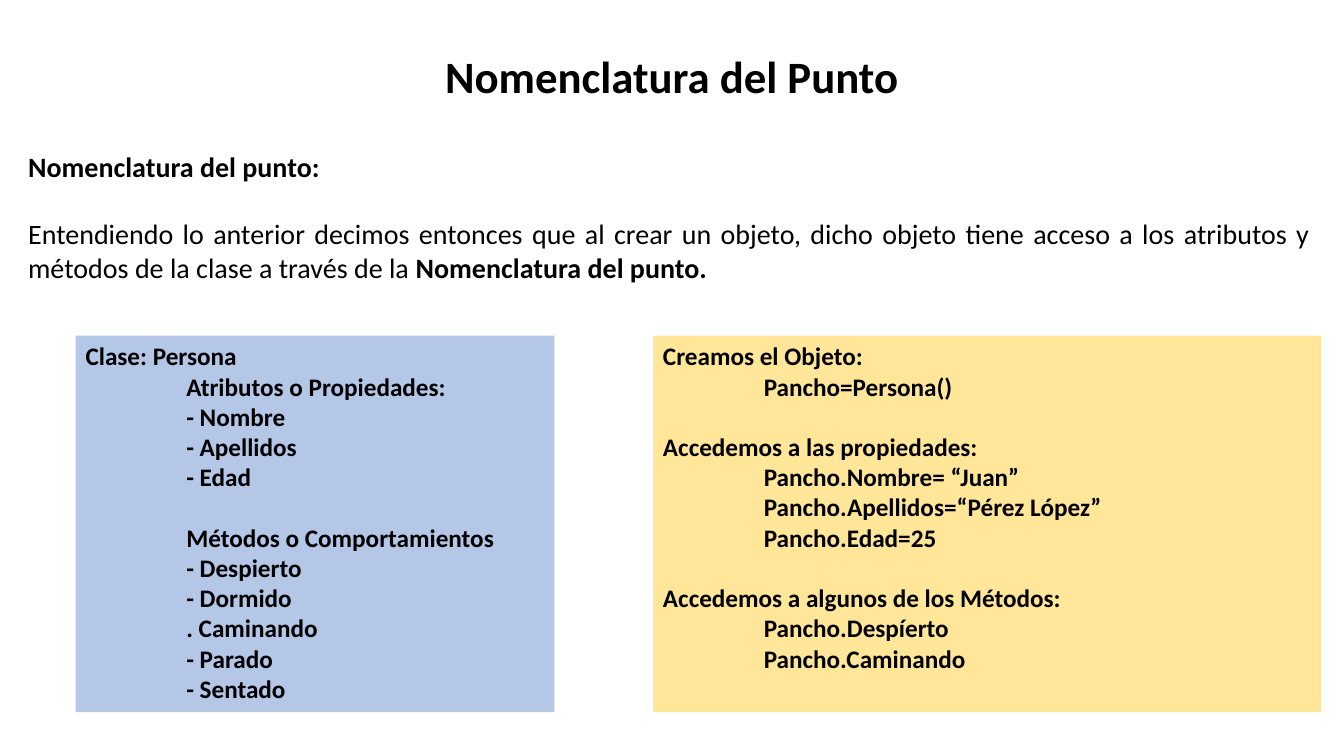
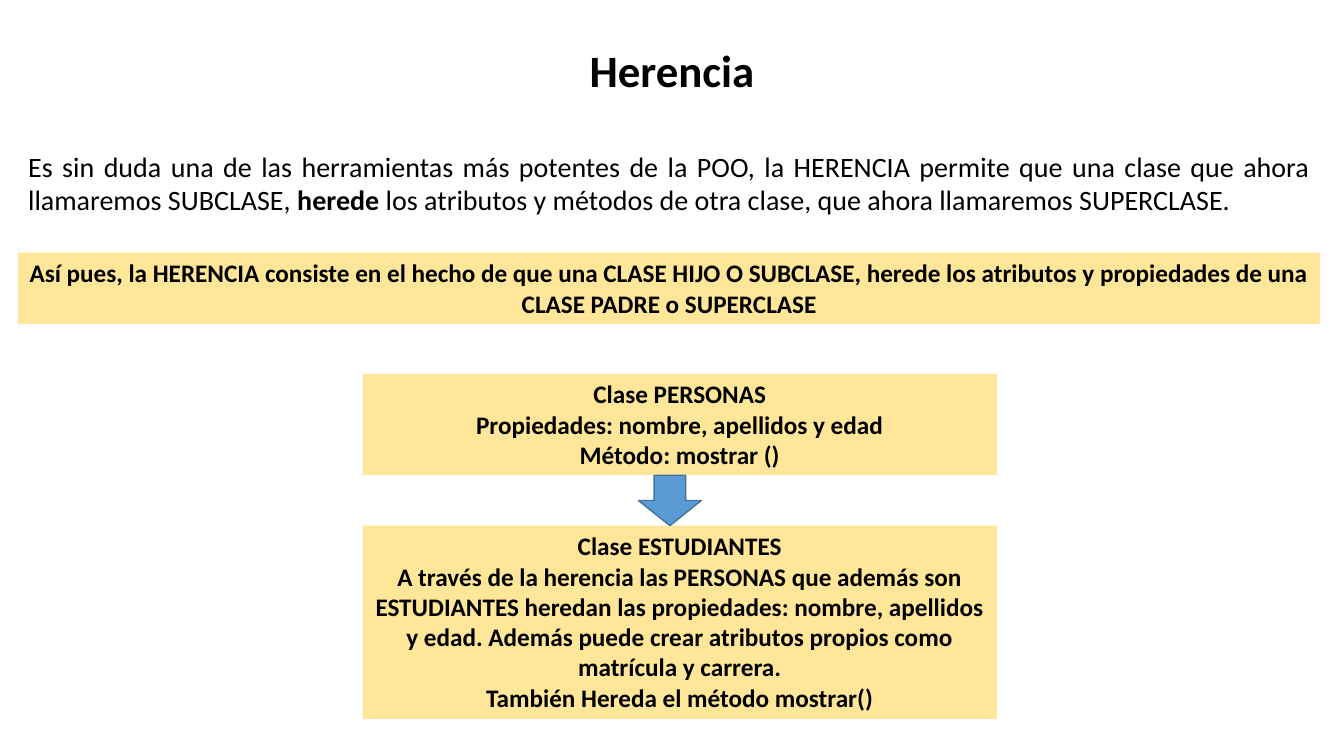
"""Build two slides on dot notation and inheritance."""
import pptx
import pptx.dml.color
import pptx.enum.shapes
import pptx.enum.text
import pptx.util

Pt = pptx.util.Pt
RGB = pptx.dml.color.RGBColor.from_string
ALIGN = pptx.enum.text.PP_ALIGN
ANCHOR = pptx.enum.text.MSO_ANCHOR
SHAPE = pptx.enum.shapes.MSO_SHAPE

COLORS = {
    "text": "000000",
    "blue": "B4C7E7",
    "yellow": "FFE699",
    "arrow": "5B9BD5",
    "arrow_line": "43739E",
}
FONT = "Calibri"
LEFT, WIDTH = 13, 930
INDENT = 72


def add_shape(s, kind, box, fill, line=None):
    sp = s.shapes.add_shape(kind, *[Pt(v) for v in box])
    sp.shadow.inherit = False
    sp.fill.solid()
    sp.fill.fore_color.rgb = RGB(COLORS[fill])
    if line:
        sp.line.color.rgb = RGB(COLORS[line])
        sp.line.width = Pt(1)
    else:
        sp.line.fill.background()
    return sp


def add_text(s, box, lines, size, align, bold=True, fill=None, anchor=ANCHOR.TOP, spacing=1.0):
    """Write lines: a tab indents, a newline leaves a gap above, ** toggles bold."""
    if fill:
        sp = add_shape(s, SHAPE.RECTANGLE, box, fill)
    else:
        sp = s.shapes.add_textbox(*[Pt(v) for v in box])
    tf = sp.text_frame
    tf.word_wrap = True
    tf.vertical_anchor = anchor
    for i, line in enumerate(lines):
        p = tf.add_paragraph() if i else tf.paragraphs[0]
        p.alignment = align
        p.line_spacing = spacing
        if line.startswith("\n"):
            p.space_before = Pt(size * 1.2)
        if "\t" in line:
            p._p.get_or_add_pPr().set("marL", str(Pt(INDENT)))
        p.font.name = FONT
        p.font.size = Pt(size)
        p.font.bold = bold
        p.font.color.rgb = RGB(COLORS["text"])
        for j, part in enumerate(line.strip().split("**")):
            if part:
                r = p.add_run()
                r.text = part
                if j % 2:
                    r.font.bold = not bold


prs = pptx.Presentation()
prs.slide_width, prs.slide_height = Pt(960), Pt(540)

slides = []
for title, top, height, intro in [
    ("Nomenclatura del Punto", 29, 104, [
        "**Nomenclatura del punto:**",
        "\nEntendiendo lo anterior decimos entonces que al crear un objeto, dicho objeto tiene "
        "acceso a los atributos y métodos de la clase a través de la **Nomenclatura del punto.**",
    ]),
    ("Herencia", 24.5, 55.5, [
        "Es sin duda una de las herramientas más potentes de la POO, la HERENCIA permite que una "
        "clase que ahora llamaremos SUBCLASE,** herede** los atributos y métodos de otra clase, "
        "que ahora llamaremos SUPERCLASE.",
    ]),
]:
    s = prs.slides.add_slide(prs.slide_layouts[6])
    add_text(s, (66, top, 828, 55.5), [title], 32, ALIGN.CENTER, anchor=ANCHOR.MIDDLE, spacing=0.9)
    add_text(s, (LEFT, 103, WIDTH, height), intro, 20, ALIGN.JUSTIFY, bold=False)
    slides.append(s)

for left, width, fill, lines in [
    (54, 342, "blue", [
        "Clase: Persona",
        "\tAtributos o Propiedades:",
        "\t- Nombre",
        "\t- Apellidos",
        "\t- Edad",
        "\n\tMétodos o Comportamientos",
        "\t- Despierto",
        "\t- Dormido",
        "\t. Caminando",
        "\t- Parado",
        "\t- Sentado",
    ]),
    (466.5, 477, "yellow", [
        "Creamos el Objeto:",
        "\tPancho=Persona()",
        "\nAccedemos a las propiedades:",
        "\tPancho.Nombre= “Juan”",
        "\tPancho.Apellidos=“Pérez López”",
        "\tPancho.Edad=25",
        "\nAccedemos a algunos de los Métodos:",
        "\tPancho.Despíerto",
        "\tPancho.Caminando",
    ]),
]:
    add_text(slides[0], (left, 239.75, width, 269), lines, 18, ALIGN.JUSTIFY, fill=fill)

for left, top, width, height, lines in [
    (LEFT, 180.5, WIDTH, 51, [
        "Así pues, la HERENCIA consiste en el hecho de que una CLASE HIJO O SUBCLASE, herede los "
        "atributos y propiedades de una CLASE PADRE o SUPERCLASE",
    ]),
    (259, 267, 453, 72.5, [
        "Clase PERSONAS",
        "Propiedades: nombre, apellidos y edad",
        "Método: mostrar ()",
    ]),
    (259, 375.5, 453, 138, [
        "Clase ESTUDIANTES",
        "A través de la herencia las PERSONAS que además son ESTUDIANTES heredan las propiedades: "
        "nombre, apellidos y edad. Además puede crear atributos propios como matrícula y carrera.",
        "También Hereda el método mostrar()",
    ]),
]:
    add_text(slides[1], (left, top, width, height), lines, 18, ALIGN.CENTER, fill="yellow")

add_shape(slides[1], SHAPE.DOWN_ARROW, (456, 339.5, 45, 36), "arrow", "arrow_line")

prs.save("out.pptx")
